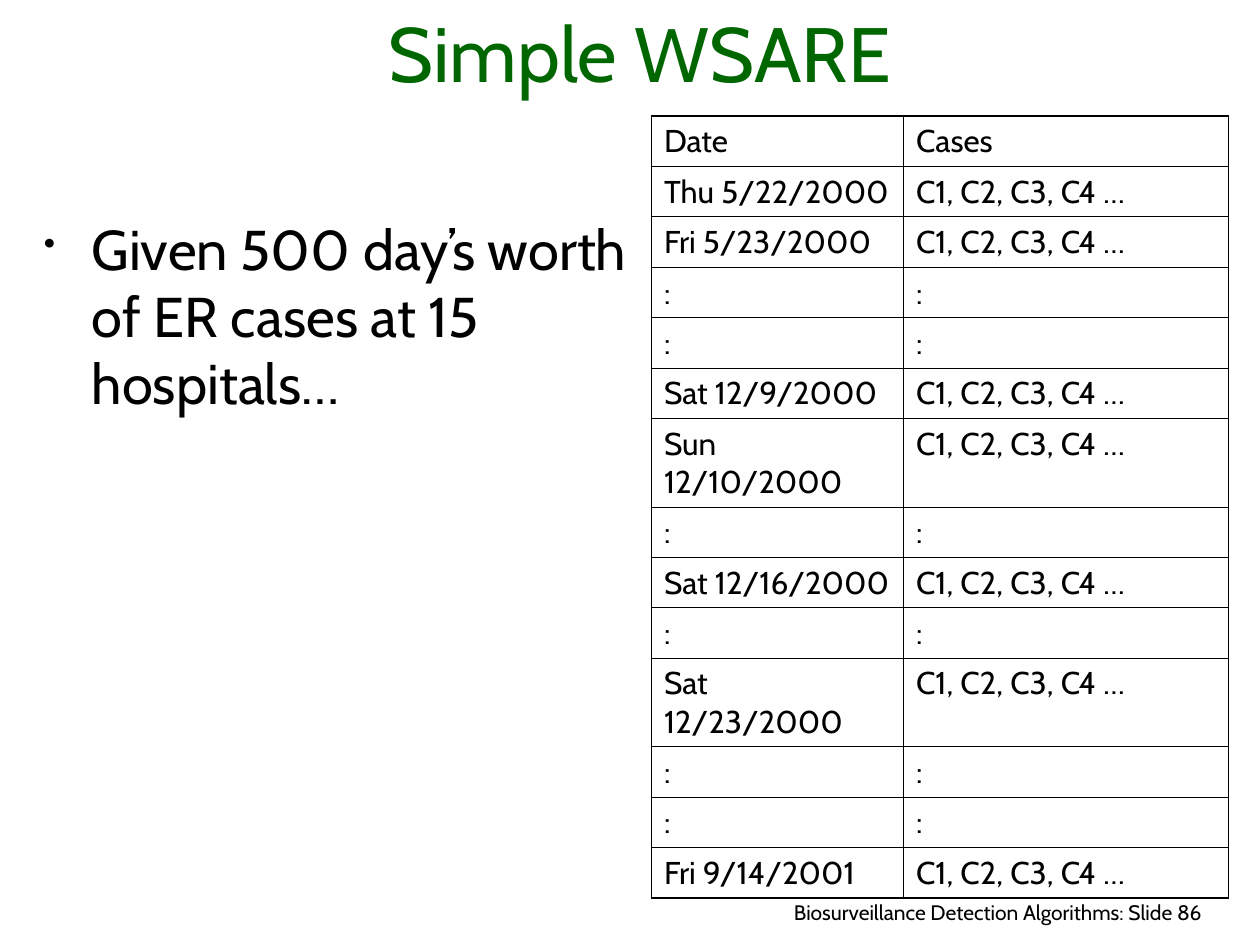
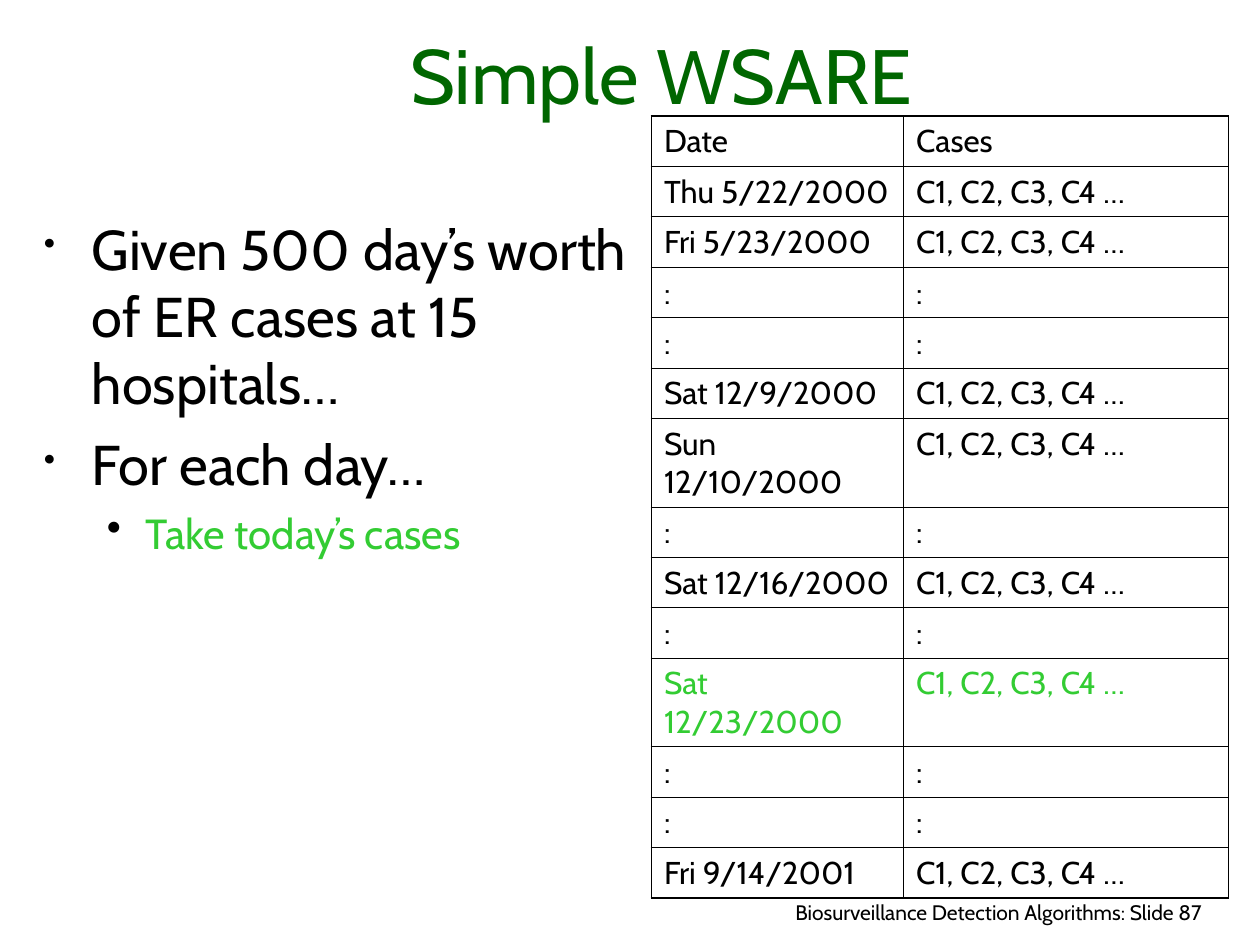
from lxml.etree import SubElement
from pptx import Presentation
from pptx.dml.color import RGBColor
from pptx.enum.text import MSO_ANCHOR, MSO_AUTO_SIZE, PP_ALIGN
from pptx.oxml.ns import qn
from pptx.util import Inches, Pt

COLORS = {"title": "006600", "text": "000000", "today": "33CC33", "background": "FFFFFF"}
FONT = "Cabin"
OUTER_BORDER, INNER_BORDER = 1.08, 0.45
CASES = "C1, C2, C3, C4 …"
DATES = ["Thu 5/22/2000", "Fri 5/23/2000", ":", ":", "Sat 12/9/2000", "Sun 12/10/2000", ":",
         "Sat 12/16/2000", ":", "Sat 12/23/2000", ":", ":", "Fri 9/14/2001"]
TALL_DATE = "Sun 12/10/2000"
TODAY = "Sat 12/23/2000"

# Bullet formats by level; lengths in inches, sizes and spaces in points
LEVELS = [
    {"size": 32, "margin": 0.38, "indent": -0.38, "space": 8, "bullet_percent": 60},
    {"size": 24, "margin": 0.81, "indent": -0.31, "space": 6, "bullet_percent": 100},
]
GIVEN = ("Given 500 day’s worth of ER cases at 15 hospitals…", 0, "text")
EACH_DAY = ("For each day…", 0, "text")
TAKE_TODAY = ("Take today’s cases", 1, "today")

TITLE_SIZE = (8.5, 0.75)
BODY_BOX = (0.25, 1.65, 4.92, 5.2)
TABLE_BOX = (5.17, 0.92, 4.58, 5.59)
FOOTER_BOX = (5.72, 7.09, 3.92, 0.33)


def write(paragraph, text, size=18, color="text", align=PP_ALIGN.LEFT):
    paragraph.alignment = align
    run = paragraph.add_run()
    run.text = text
    run.font.name = FONT
    run.font.size = Pt(size)
    run.font.color.rgb = RGBColor.from_string(COLORS[color])


def add_frame(slide, box, anchor=MSO_ANCHOR.TOP):
    frame = slide.shapes.add_textbox(*map(Inches, box)).text_frame
    frame.word_wrap = True
    frame.vertical_anchor = anchor
    return frame


def add_title(slide, position):
    frame = add_frame(slide, (*position, *TITLE_SIZE), MSO_ANCHOR.BOTTOM)
    write(frame.paragraphs[0], "Simple WSARE", size=44, color="title", align=PP_ALIGN.CENTER)


def add_footer(slide, number):
    frame = add_frame(slide, FOOTER_BOX)
    frame.auto_size = MSO_AUTO_SIZE.SHAPE_TO_FIT_TEXT
    write(frame.paragraphs[0], f"Biosurveillance Detection Algorithms: Slide {number}",
          size=12, align=PP_ALIGN.RIGHT)


def set_bullet(paragraph, level):
    properties = paragraph._p.get_or_add_pPr()
    properties.set("marL", str(Inches(level["margin"])))
    properties.set("indent", str(Inches(level["indent"])))
    bullet_color = SubElement(properties, qn("a:buClr"))
    SubElement(bullet_color, qn("a:srgbClr"), val=COLORS["text"])
    SubElement(properties, qn("a:buSzPct"), val=str(level["bullet_percent"] * 1000))
    SubElement(properties, qn("a:buChar"), char="•")


def add_bullets(slide, box, bullets):
    frame = add_frame(slide, box)
    for index, (text, level_number, color) in enumerate(bullets):
        level = LEVELS[level_number]
        paragraph = frame.add_paragraph() if index else frame.paragraphs[0]
        paragraph.level = level_number
        set_bullet(paragraph, level)
        if index:
            paragraph.space_before = Pt(level["space"])
        write(paragraph, text, size=level["size"], color=color)


def set_borders(cell, outer_sides):
    properties = cell._tc.get_or_add_tcPr()
    for side in "LRTB":
        width = OUTER_BORDER if side in outer_sides else INNER_BORDER
        line = SubElement(properties, qn(f"a:ln{side}"), w=str(Pt(width)))
        fill = SubElement(line, qn("a:solidFill"))
        SubElement(fill, qn("a:srgbClr"), val=COLORS["text"])


def add_cases_table(slide, box, highlighted_date):
    rows = [("Date", "Cases")] + [(date, ":" if date == ":" else CASES) for date in DATES]
    table = slide.shapes.add_table(len(rows), 2, *map(Inches, box)).table
    table.first_row = table.horz_banding = False
    date_width = 2
    table.columns[0].width = Inches(date_width)
    table.columns[1].width = Inches(box[2] - date_width)
    for row_index, values in enumerate(rows):
        date = values[0]
        table.rows[row_index].height = Inches(0.7 if date == TALL_DATE else 0.4)
        row_sides = {0: "T", len(rows) - 1: "B"}.get(row_index, "")
        for column_index, text in enumerate(values):
            cell = table.cell(row_index, column_index)
            set_borders(cell, row_sides + "LR"[column_index])
            cell.fill.background()
            write(cell.text_frame.paragraphs[0], text,
                  color="today" if date == highlighted_date else "text")


def add_wsare_slide(presentation, number, title_position, bullets, highlighted_date=None):
    slide = presentation.slides.add_slide(presentation.slide_layouts[6])
    slide.background.fill.solid()
    slide.background.fill.fore_color.rgb = RGBColor.from_string(COLORS["background"])
    add_footer(slide, number)
    add_bullets(slide, BODY_BOX, bullets)
    add_cases_table(slide, TABLE_BOX, highlighted_date)
    add_title(slide, title_position)


def main():
    presentation = Presentation()
    presentation.slide_width = Inches(10)
    presentation.slide_height = Inches(7.5)
    add_wsare_slide(presentation, 86, (0.83, 0.08), [GIVEN])
    add_wsare_slide(presentation, 87, (1, 0.25), [GIVEN, EACH_DAY, TAKE_TODAY], TODAY)
    presentation.save("out.pptx")


if __name__ == "__main__":
    main()
